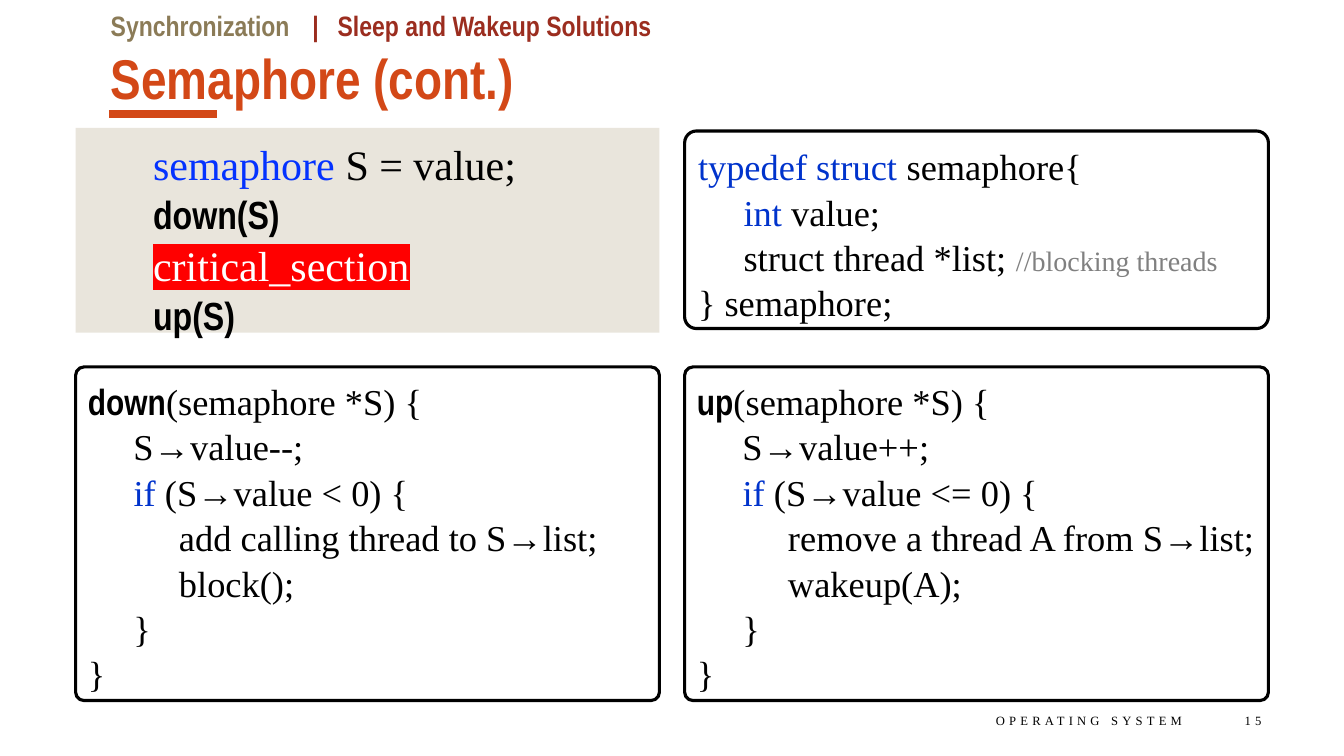
"""Build the semaphore slide with its code boxes."""
from dataclasses import dataclass
from typing import Optional

import pptx
import pptx.dml.color
import pptx.enum.shapes
import pptx.enum.text
import pptx.oxml
import pptx.oxml.ns
import pptx.util

Inches = pptx.util.Inches
Pt = pptx.util.Pt
Align = pptx.enum.text.PP_ALIGN
Anchor = pptx.enum.text.MSO_ANCHOR
Kind = pptx.enum.shapes.MSO_SHAPE

SERIF = "Times New Roman"
NARROW = "Arial Narrow"
HUES = {
    "black": "000000", "white": "FFFFFF", "red": "FF0000", "rust": "D34817",
    "brick": "9B2D1F", "olive": "8B7B57", "sand": "E9E5DC",
    "bright": "0432FF", "blue": "0033CC", "gray": "808080",
}


@dataclass
class Span:
    text: str
    size: float = 26
    hue: str = "black"
    font: str = SERIF
    bold: bool = False
    mark: Optional[str] = None
    space: int = 0


Lines = list[list[Span]]


@dataclass
class Box:
    left: float
    top: float
    width: float
    height: float
    lines: Lines
    shape: Optional[Kind] = None
    fill: Optional[str] = None
    curve: float = 0
    align: Align = Align.LEFT
    anchor: Anchor = Anchor.TOP
    indent: float = 0
    pitch: float = 1
    tabs: tuple[float, ...] = ()


def tint(name: str) -> pptx.dml.color.RGBColor:
    return pptx.dml.color.RGBColor.from_string(HUES[name])


def node(tag: str, **attrs: str):
    item = pptx.oxml.parse_xml(f"<{tag} {pptx.oxml.ns.nsdecls('a')}/>")
    for key, value in attrs.items():
        item.set(key, value)
    return item


def add_span(para, span: Span) -> None:
    run = para.add_run()
    run.text = span.text
    font = run.font
    font.size, font.name, font.bold = Pt(span.size), span.font, span.bold
    font.color.rgb = tint(span.hue)
    props = run._r.get_or_add_rPr()
    if span.space:
        props.set("spc", str(span.space * 100))
    if span.mark:
        mark = node("a:highlight")
        mark.append(node("a:srgbClr", val=HUES[span.mark]))
        props.find(pptx.oxml.ns.qn("a:solidFill")).addnext(mark)


def add_box(slide, box: Box) -> None:
    place = [Inches(n) for n in (box.left, box.top, box.width, box.height)]
    if box.shape is None:
        shape = slide.shapes.add_textbox(*place)
    else:
        shape = slide.shapes.add_shape(box.shape, *place)
        shape.shadow.inherit = False
        if box.fill:
            shape.fill.solid()
            shape.fill.fore_color.rgb = tint(box.fill)
            shape.line.fill.background()
        else:
            shape.fill.background()
            shape.line.color.rgb = tint("black")
            shape.line.width = Pt(2.25)
        if box.curve:
            shape.adjustments[0] = box.curve
    frame = shape.text_frame
    frame.word_wrap = True
    frame.vertical_anchor = box.anchor
    frame.margin_top = frame.margin_bottom = Inches(0.08)
    for row, spans in enumerate(box.lines):
        para = frame.add_paragraph() if row else frame.paragraphs[0]
        para.alignment = box.align
        para.line_spacing = box.pitch
        props = para._p.get_or_add_pPr()
        if box.indent:
            props.set("marL", str(Inches(box.indent)))
            props.set("indent", "0")
        if box.tabs:
            stops = node("a:tabLst")
            for tab in box.tabs:
                stops.append(node("a:tab", pos=str(Inches(tab)), algn="l"))
            props.append(stops)
        for span in spans:
            add_span(para, span)


def add_rule(slide) -> None:
    ends = [Inches(n) for n in (1.08, 1.13, 2.15, 1.13)]
    rule = slide.shapes.add_connector(
        pptx.enum.shapes.MSO_CONNECTOR.STRAIGHT, *ends)
    rule.line.color.rgb = tint("rust")
    rule.line.width = Pt(6)
    rule._element.spPr.append(node("a:effectLst"))


def head(text: str, size: float, hue: str = "black") -> Span:
    return Span(text, size, hue, NARROW, True)


def code(name: str, step: str, test: str, acts: list[str]) -> Lines:
    return [
        [head(name, 26), Span("(semaphore *S) {")],
        [Span(f"     S→value{step};")],
        [Span("     "), Span("if ", hue="blue"), Span(f"(S→value {test} 0) {{")],
        *[[Span(f"          {act};")] for act in acts],
        [Span("     }")],
        [Span("}")],
    ]


USAGE: Lines = [
    [Span("semaphore", 30, "bright"), Span(" S = value;", 30)],
    [head("down(S)", 28)],
    [Span("critical_section", 30, "white", mark="red")],
    [head("up(S)", 28)],
]
STRUCT: Lines = [
    [Span("typedef struct ", hue="blue"), Span("semaphore{")],
    [Span("     int", hue="blue"), Span(" value;")],
    [Span("     struct thread *list; "), Span("//blocking threads", 20, "gray")],
    [Span("} semaphore;")],
]
DOWN = code("down", "--", "<", ["add calling thread to S→list", "block()"])
UP = code("up", "++", "<=", ["remove a thread A from S→list", "wakeup(A)"])

LEFT, RIGHT, WIDTH, PITCH = 0.75, 6.79, 5.79, 1.04
ROUND = Kind.ROUNDED_RECTANGLE
BOXES = [
    Box(1, 0.35, 11.33, 0.61, [[head("Semaphore (cont.)", 40, "rust")]]),
    Box(1, 0, 11.33, 0.4,
        [[head("Synchronization\t", 20, "olive"),
          head("|\tSleep and Wakeup Solutions", 20, "brick")]],
        tabs=(2, 2.25)),
    *[Box(left, 6.95, width, 0.4, [[Span(text, 9, space=3)]],
          align=Align.RIGHT, anchor=Anchor.MIDDLE)
      for left, width, text in [(7.4, 4.42, "OPERATING SYSTEM"),
                                (11.82, 0.79, "15")]],
    Box(LEFT, 1.27, WIDTH, 2.03, USAGE, Kind.RECTANGLE, "sand",
        align=Align.JUSTIFY, indent=0.67, pitch=PITCH),
    Box(RIGHT, 1.3, WIDTH, 1.96, STRUCT, ROUND, curve=0.06, pitch=PITCH),
    *[Box(left, 3.64, WIDTH, 3.31, lines, ROUND, curve=0.025, pitch=PITCH)
      for left, lines in [(LEFT, DOWN), (RIGHT, UP)]],
]


def main() -> None:
    deck = pptx.Presentation()
    deck.slide_width, deck.slide_height = Inches(13.33), Inches(7.5)
    slide = deck.slides.add_slide(deck.slide_layouts[6])
    add_rule(slide)
    for box in BOXES:
        add_box(slide, box)
    deck.save("out.pptx")


if __name__ == "__main__":
    main()
